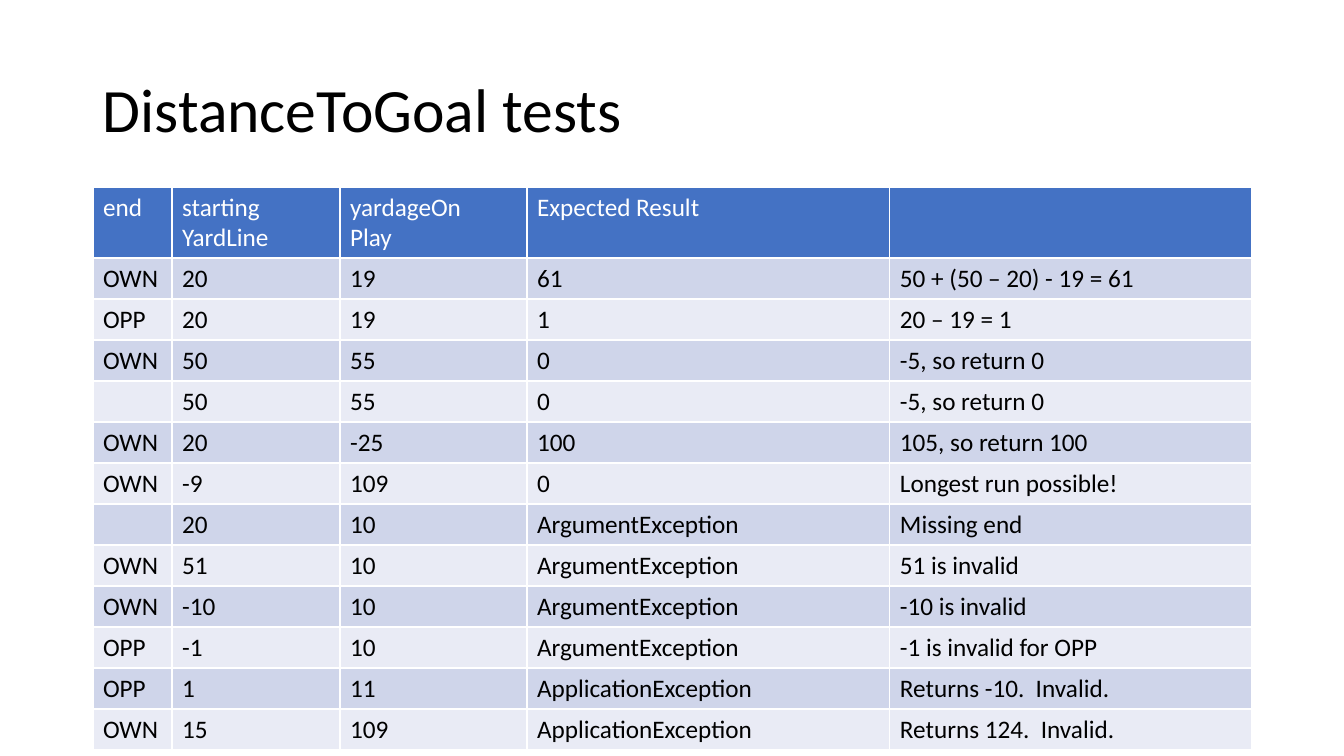
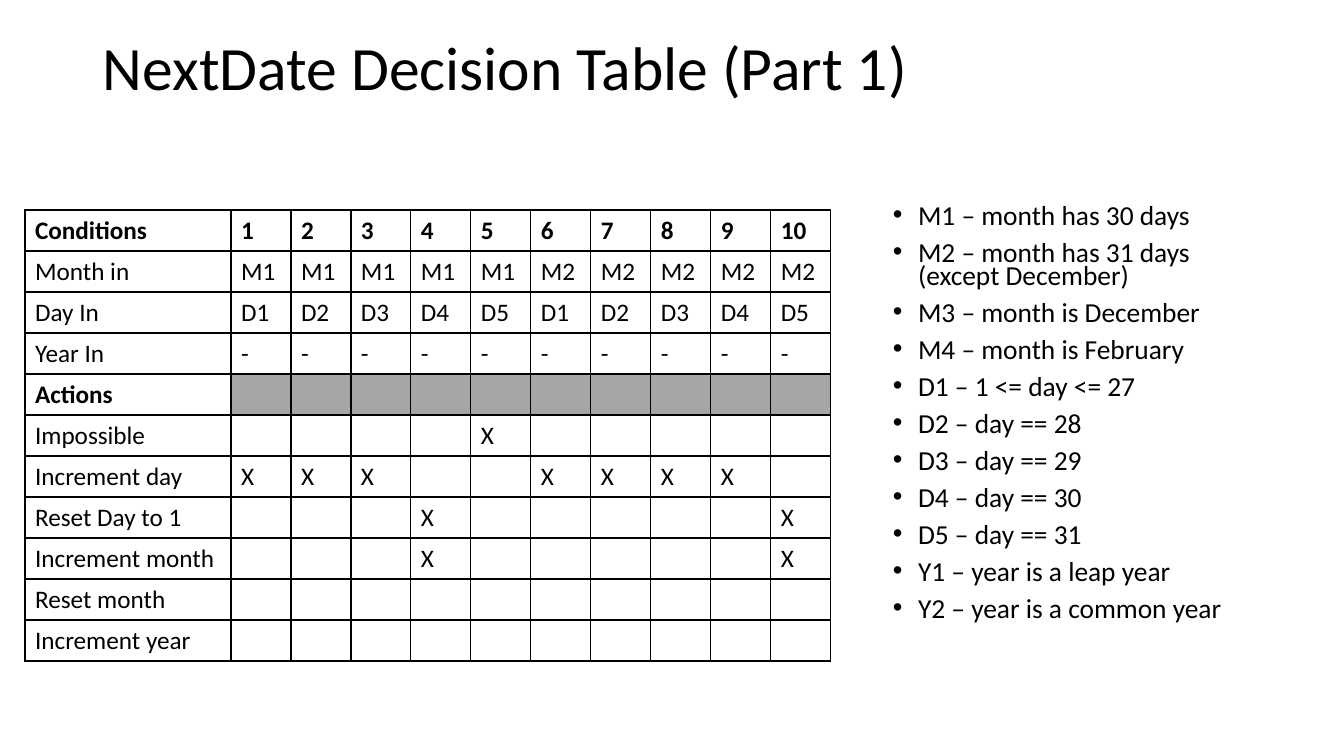
import lxml.etree
import pptx
import pptx.dml.color
import pptx.enum.text
import pptx.oxml.ns
import pptx.util

PX = 9071
FONT = "Calibri"
BLACK = pptx.dml.color.RGBColor(0x00, 0x00, 0x00)
WHITE = pptx.dml.color.RGBColor(0xFF, 0xFF, 0xFF)
BLUE = pptx.dml.color.RGBColor(0x44, 0x72, 0xC4)
BAND = pptx.dml.color.RGBColor(0xCF, 0xD5, 0xEA)
PALE = pptx.dml.color.RGBColor(0xE9, 0xEB, 0xF5)
GRAY = pptx.dml.color.RGBColor(0xA6, 0xA6, 0xA6)
MIDDLE = pptx.enum.text.MSO_ANCHOR.MIDDLE


def say(frame, text, size=18, color=BLACK, bold=False, line=None, gap=None, bullet=None):
    frame.word_wrap = True
    frame.text = text
    for index, para in enumerate(frame.paragraphs):
        if bullet:
            props = para._p.get_or_add_pPr()
            props.set("marL", "228600")
            props.set("indent", "-228600")
            lxml.etree.SubElement(props, pptx.oxml.ns.qn("a:buFont"), typeface="Arial")
            lxml.etree.SubElement(props, pptx.oxml.ns.qn("a:buChar"), char=bullet)
        if line:
            para.line_spacing = line
        if gap and index:
            para.space_before = pptx.util.Pt(gap)
        for run in para.runs:
            run.font.name = FONT
            run.font.size = pptx.util.Pt(size)
            run.font.bold = bold
            run.font.color.rgb = color


def grid(slide, left, top, cols, rows, edge):
    frame = slide.shapes.add_table(
        len(rows), len(cols), left * PX, top * PX, sum(cols) * PX, sum(rows) * PX
    )
    table = frame.table
    table.horz_banding = False
    for column, width in zip(table.columns, cols):
        column.width = width * PX
    for row, height in zip(table.rows, rows):
        row.height = height * PX
    for cell in table.iter_cells():
        props = cell._tc.get_or_add_tcPr()
        for side in ("a:lnL", "a:lnR", "a:lnT", "a:lnB"):
            border = lxml.etree.SubElement(props, pptx.oxml.ns.qn(side), w="12700")
            fill = lxml.etree.SubElement(border, pptx.oxml.ns.qn("a:solidFill"))
            lxml.etree.SubElement(fill, pptx.oxml.ns.qn("a:srgbClr"), val=str(edge))
    return table


deck = pptx.Presentation()
deck.slide_width = 1344 * PX
deck.slide_height = 756 * PX

slides = []
for text, top, height in (
    ("DistanceToGoal tests", 40, 146),
    ("NextDate Decision Table (Part 1)", 17, 107),
):
    slide = deck.slides.add_slide(deck.slide_layouts[6])
    title = slide.shapes.add_textbox(93 * PX, top * PX, 1159 * PX, height * PX)
    title.text_frame.vertical_anchor = MIDDLE
    say(title.text_frame, text, size=44, line=0.9)
    slides.append(slide)

tests = [
    ("end", "starting\nYardLine", "yardageOn\vPlay", "Expected Result", ""),
    ("OWN", "20", "19", "61", "50 + (50 – 20) - 19 = 61"),
    ("OPP", "20", "19", "1", "20 – 19 = 1"),
    ("OWN", "50", "55", "0", "-5, so return 0"),
    ("", "50", "55", "0", "-5, so return 0"),
    ("OWN", "20", "-25", "100", "105, so return 100"),
    ("OWN", "-9", "109", "0", "Longest run possible!"),
    ("", "20", "10", "ArgumentException", "Missing end"),
    ("OWN", "51", "10", "ArgumentException", "51 is invalid"),
    ("OWN", "-10", "10", "ArgumentException", "-10 is invalid"),
    ("OPP", "-1", "10", "ArgumentException", "-1 is invalid for OPP"),
    ("OPP", "1", "11", "ApplicationException", "Returns -10.  Invalid."),
    ("OWN", "15", "109", "ApplicationException", "Returns 124.  Invalid."),
]
table = grid(slides[0], 93, 187, [79, 168, 187, 363, 362], [71] + [41] * 12, WHITE)
for r, row in enumerate(tests):
    for c, text in enumerate(row):
        cell = table.cell(r, c)
        cell.fill.solid()
        cell.fill.fore_color.rgb = (BAND if r % 2 else PALE) if r else BLUE
        say(cell.text_frame, text, color=BLACK if r else WHITE)

rules = [
    ["Conditions"] + [str(n) for n in range(1, 11)],
    ["Month in"] + ["M1"] * 5 + ["M2"] * 5,
    ["Day In"] + [f"D{n}" for n in range(1, 6)] * 2,
    ["Year In"] + ["-"] * 10,
]
for action, marks in (
    ("Actions", ()),
    ("Impossible", (5,)),
    ("Increment day", (1, 2, 3, 6, 7, 8, 9)),
    ("Reset Day to 1", (4, 10)),
    ("Increment month", (4, 10)),
    ("Reset month", ()),
    ("Increment year", ()),
):
    rules.append([action] + ["X" if n in marks else "" for n in range(1, 11)])

table = grid(slides[1], 25, 210, [206] + [60] * 10, [41] * 11, BLACK)
for r, row in enumerate(rules):
    for c, text in enumerate(row):
        cell = table.cell(r, c)
        if row[0] == "Actions" and c:
            cell.fill.solid()
            cell.fill.fore_color.rgb = GRAY
        else:
            cell.fill.background()
        say(cell.text_frame, text, bold=row[0] in ("Conditions", "Actions"))

legend = [
    "M1 – month has 30 days",
    "M2 – month has 31 days (except December)",
    "M3 – month is December",
    "M4 – month is February",
    "D1 – 1 <= day <= 27",
    "D2 – day == 28",
    "D3 – day == 29",
    "D4 – day == 30",
    "D5 – day == 31",
    "Y1 – year is a leap year",
    "Y2 – year is a common year",
]
box = slides[1].shapes.add_textbox(883 * PX, 202 * PX, 369 * PX, 480 * PX)
say(box.text_frame, "\n".join(legend), size=19.6, line=0.7, gap=10, bullet="•")

deck.save("out.pptx")
